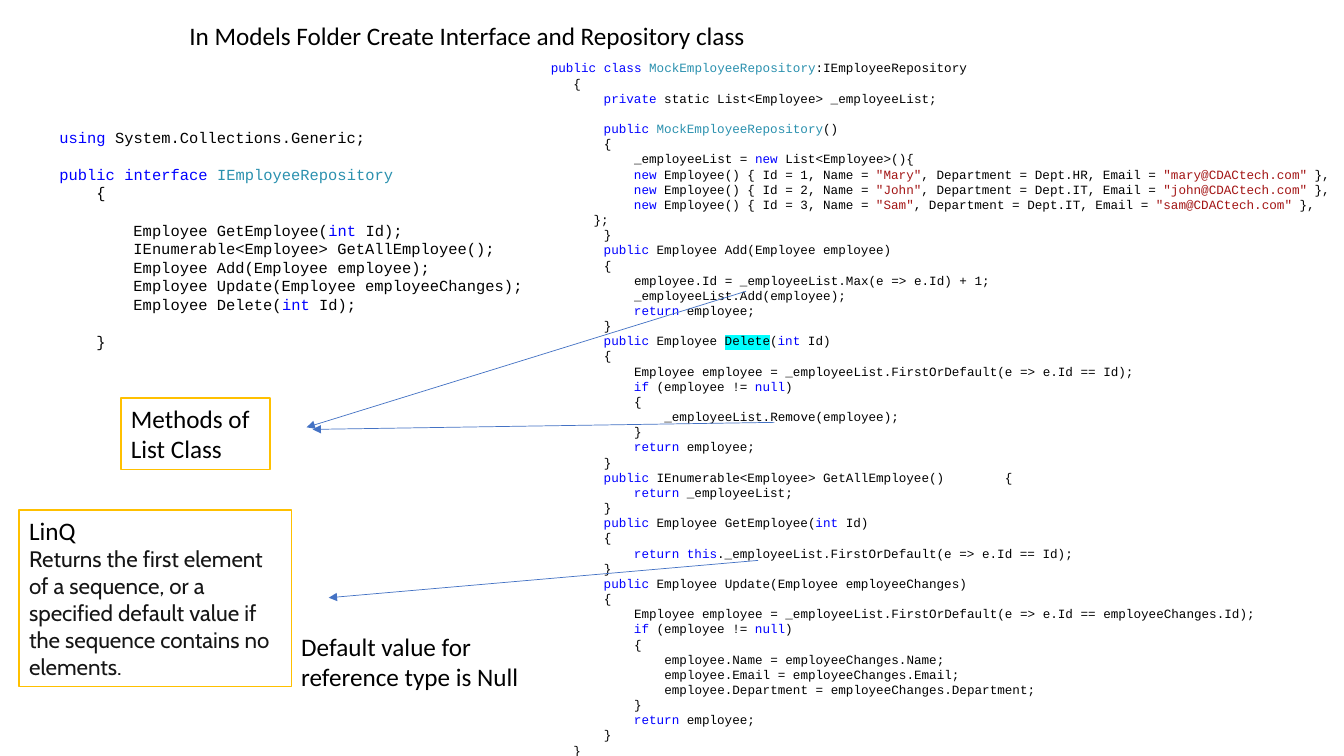
from itertools import groupby
from lxml.etree import SubElement
from pptx import Presentation
from pptx.dml.color import RGBColor
from pptx.enum.shapes import MSO_CONNECTOR as Link, MSO_SHAPE as Shape
from pptx.enum.text import MSO_ANCHOR as Anchor, PP_ALIGN as Align
from pptx.oxml.ns import qn
from pptx.util import Inches, Pt

WIDE, HIGH = Inches(13.33), Inches(7.5)
BLACK, BLUE, TEAL, RED, CYAN = "000000", "0000FF", "2B91AF", "A31515", "00FFFF"
KEYS = set("using public interface class private new return this if null int".split())

FACE = """using System.Collections.Generic;

public interface IEmployeeRepository
    {

        Employee GetEmployee(int Id);
        IEnumerable<Employee> GetAllEmployee();
        Employee Add(Employee employee);
        Employee Update(Employee employeeChanges);
        Employee Delete(int Id);

    }"""

FIELDS = """ public class MockEmployeeRepository:IEmployeeRepository
    {
        private static List<Employee> _employeeList;
"""
SETUP = """        public MockEmployeeRepository()
        {
            _employeeList = new List<Employee>(){
            new Employee() { Id = 1, Name = "Mary", Department = Dept.HR, Email = "mary@CDACtech.com" },
            new Employee() { Id = 2, Name = "John", Department = Dept.IT, Email = "john@CDACtech.com" },
            new Employee() { Id = 3, Name = "Sam", Department = Dept.IT, Email = "sam@CDACtech.com" },
	};
        }"""
ADD = """        public Employee Add(Employee employee)
        {
            employee.Id = _employeeList.Max(e => e.Id) + 1;
            _employeeList.Add(employee);
            return employee;
        }"""
DELETE = """        public Employee Delete(int Id)
        {
            Employee employee = _employeeList.FirstOrDefault(e => e.Id == Id);
            if (employee != null)
            {
                _employeeList.Remove(employee);
            }
            return employee;
        }"""
GET = """        public IEnumerable<Employee> GetAllEmployee()        {
            return _employeeList;
        }
        public Employee GetEmployee(int Id)
        {
            return this._employeeList.FirstOrDefault(e => e.Id == Id);
        }"""
UPDATE = """        public Employee Update(Employee employeeChanges)
        {
            Employee employee = _employeeList.FirstOrDefault(e => e.Id == employeeChanges.Id);
            if (employee != null)
            {
                employee.Name = employeeChanges.Name;
                employee.Email = employeeChanges.Email;
                employee.Department = employeeChanges.Department;
            }
            return employee;
        }
    }"""
MOCK = "\n".join([FIELDS, SETUP, ADD, DELETE, GET, UPDATE])


def paint(code):
    """Return the colour for a hex string."""
    return RGBColor.from_string(code)


def place(x, y, *size):
    """Turn percentages of the slide into lengths."""
    return [int(part * side / 100) for part, side in zip((x, y, *size), (WIDE, HIGH) * 2)]


def style(run, name, size, tint):
    """Set the font of a run."""
    run.font.name, run.font.size = name, Pt(size)
    run.font.color.rgb = paint(tint)


def split(line, kind, mark):
    """Yield pieces of a code line with their colour and highlight."""
    for turn, part in enumerate(line.split('"')):
        if turn % 2:
            yield f'"{part}"', (RED, False)
            continue
        for _, chars in groupby(part, lambda c: c.isalnum() or c == "_"):
            word = "".join(chars)
            tint = BLUE if word in KEYS else TEAL if word == kind else BLACK
            yield word, (tint, word == mark)


def listing(slide, box, code, size, kind, mark=None):
    """Place a code listing with coloured syntax."""
    frame = slide.shapes.add_textbox(*place(*box)).text_frame
    frame.word_wrap = True
    for row, line in enumerate(code.split("\n")):
        para = frame.add_paragraph() if row else frame.paragraphs[0]
        para.line_spacing = Pt(size * 1.205)
        para.font.size = Pt(size)
        for (tint, lit), parts in groupby(split(line, kind, mark), lambda p: p[1]):
            run = para.add_run()
            run.text = "".join(text for text, _ in parts)
            style(run, "Courier New", size, tint)
            if lit:
                font = run.font._element
                glow = SubElement(font, qn("a:highlight"))
                SubElement(glow, qn("a:srgbClr"), val=CYAN)
                font.find(qn("a:solidFill")).addnext(glow)


def note(slide, box, *lines, framed=False):
    """Place a text note, with a gold frame if asked."""
    if framed:
        shape = slide.shapes.add_shape(Shape.RECTANGLE, *place(*box))
        shape.shadow.inherit = False
        shape.fill.solid()
        shape.fill.fore_color.rgb = paint("FFFFFF")
        shape.line.color.rgb = paint("FFC000")
        shape.line.width = Pt(1)
    else:
        shape = slide.shapes.add_textbox(*place(*box))
    frame = shape.text_frame
    frame.word_wrap = True
    frame.vertical_anchor = Anchor.TOP
    frame.text = "\n".join(text for text, *_ in lines)
    for para, (_, *font) in zip(frame.paragraphs, lines):
        para.alignment = Align.LEFT
        style(para.runs[0], *font)


def arrow(slide, start, end):
    """Draw a thin arrow from start to end."""
    link = slide.shapes.add_connector(Link.STRAIGHT, *place(*start), *place(*end))
    link.line.color.rgb = paint("4472C4")
    link.line.width = Pt(0.5)
    SubElement(link.line._get_or_add_ln(), qn("a:tailEnd"), type="triangle")
    SubElement(link._element.spPr, qn("a:effectLst"))


def main():
    """Build the slide and save it."""
    deck = Presentation()
    deck.slide_width, deck.slide_height = WIDE, HIGH
    slide = deck.slides.add_slide(deck.slide_layouts[6])
    body = ("Calibri", 18, BLACK)
    listing(slide, (3.68, 16.27, 37.96, 31.07), FACE, 11, "IEmployeeRepository")
    note(slide, (13.35, 2, 62.34, 5.33),
         ("In Models Folder Create Interface and Repository class", *body))
    listing(slide, (39.68, 7.33, 60.32, 94.27), MOCK, 9, "MockEmployeeRepository", "Delete")
    arrow(slide, (55.51, 38.53), (22.81, 56.53))
    arrow(slide, (57.61, 55.87), (23.26, 56.8))
    note(slide, (9, 52.67, 11.1, 9.47), ("Methods of List Class", *body), framed=True)
    arrow(slide, (56.41, 74.13), (24.46, 79.07))
    note(slide, (1.43, 67.47, 20.26, 23.33), ("LinQ", *body),
         ("Returns the first element of a sequence, or a specified default value "
          "if the sequence contains no elements.", "Cabin", 16, "161616"), framed=True)
    note(slide, (21.68, 82.8, 20.03, 9.47),
         ("Default value for reference type is Null", *body))
    deck.save("out.pptx")


if __name__ == "__main__":
    main()
